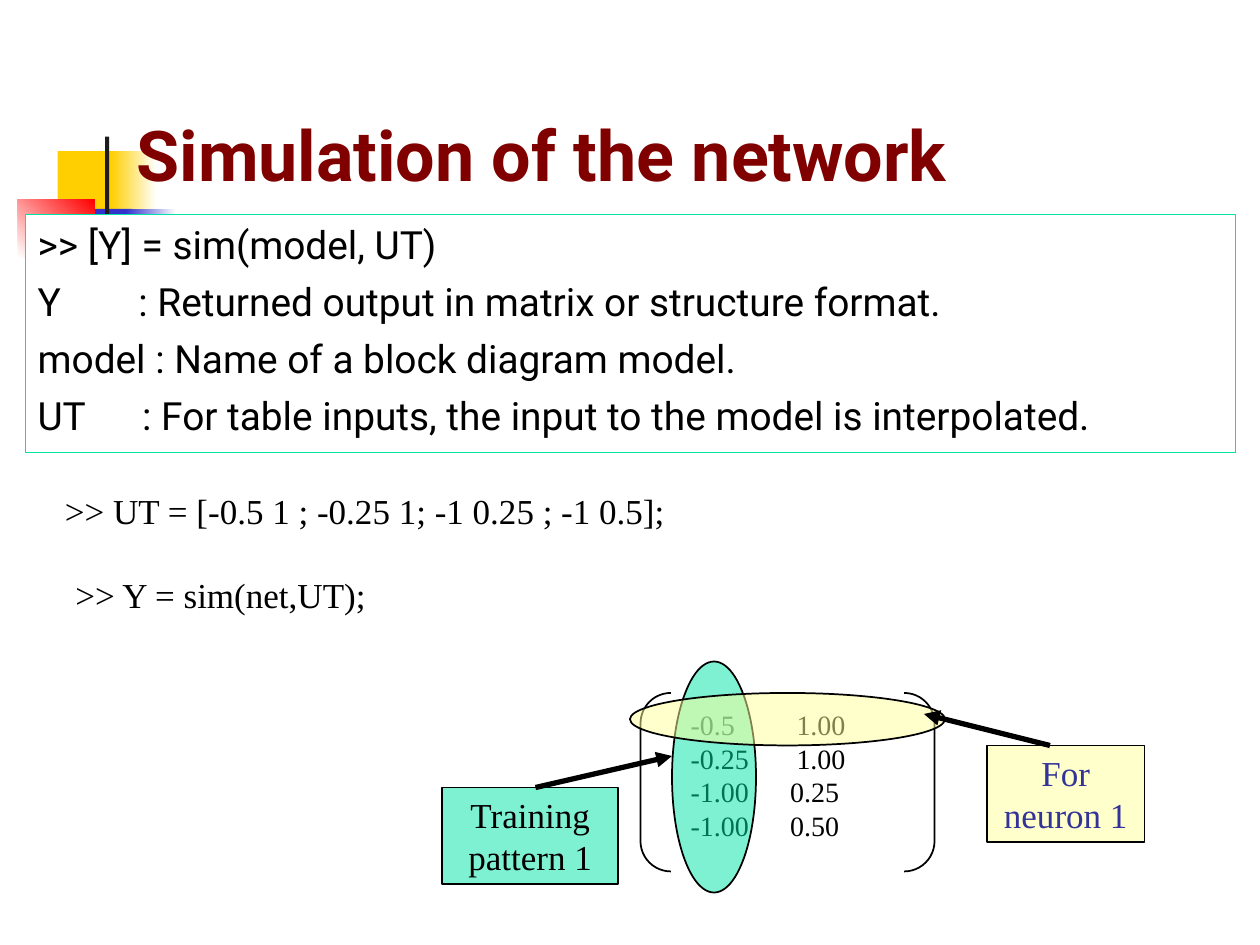
from dataclasses import dataclass, field

from pptx import Presentation
from pptx.dml.color import RGBColor
from pptx.enum.shapes import MSO_CONNECTOR, MSO_SHAPE
from pptx.enum.text import MSO_ANCHOR, MSO_AUTO_SIZE, PP_ALIGN
from pptx.oxml.ns import qn
from pptx.oxml.xmlchemy import OxmlElement
from pptx.util import Inches, Pt

RECT = MSO_SHAPE.RECTANGLE
OVAL = MSO_SHAPE.OVAL
PAIR = MSO_SHAPE.DOUBLE_BRACKET
LINE = MSO_CONNECTOR.STRAIGHT
BOTTOM = MSO_ANCHOR.BOTTOM
MIDDLE = MSO_ANCHOR.MIDDLE
TOP = MSO_ANCHOR.TOP
FIXED = MSO_AUTO_SIZE.NONE
LEFT = PP_ALIGN.LEFT
CENTER = PP_ALIGN.CENTER

SANS = "Roboto"
SERIF = "Times New Roman"
TITLE_ONLY = 5
CELL = 1 / 12

COLORS = {
    "black": "000000",
    "white": "FFFFFF",
    "gold": "FFCF01",
    "blue": "3333CC",
    "red": "FF0000",
    "ink": "1C1C1C",
    "maroon": "800000",
    "mint": "00E4A8",
    "cream": "FFFF99",
    "navy": "333399",
}


def color(name):
    """Look up a named colour."""
    return RGBColor.from_string(COLORS[name])


def grid(*cells):
    """Turn grid cells into lengths."""
    return [Inches(cell * CELL) for cell in cells]


def add_node(parent, tag, **values):
    """Append an XML child with attributes."""
    node = OxmlElement(tag)
    for key, value in values.items():
        node.set(key, str(value))
    parent.append(node)
    return node


@dataclass
class Deck:
    """Style and current slide, drawn on a grid of 120 columns by 90 rows."""

    slide: object
    font: str = SERIF
    size: float = 20
    ink: str = "black"
    edge: float = 1
    arrow: float = 3
    stops: dict = field(default_factory=dict)

    def fill_text(self, frame, lines, size=None, font=None, ink=None,
                  align=LEFT, gap=0, bold=False, anchor=TOP):
        """Fill a frame with styled lines; a line may carry a tab stop."""
        frame.word_wrap = True
        frame.auto_size = FIXED
        frame.vertical_anchor = anchor
        frame.text = "\n".join(lines)
        for para in frame.paragraphs:
            para.alignment = align
            para.space_before = Pt(gap)
            stop = self.stops.get(para.text)
            if stop:
                tabs = add_node(para._p.get_or_add_pPr(), "a:tabLst")
                add_node(tabs, "a:tab", pos=Inches(stop), algn="l")
            for run in para.runs:
                run.font.name = font or self.font
                run.font.size = Pt(size or self.size)
                run.font.bold = bold
                run.font.color.rgb = color(ink or self.ink)

    def title(self, text, box):
        """Place the title in front of what is already drawn."""
        head = self.slide.shapes.title
        head.left, head.top, head.width, head.height = grid(*box)
        self.fill_text(head.text_frame, [text], 40, SANS, "maroon",
                       bold=True, anchor=BOTTOM)
        head.element.getparent().append(head.element)

    def text(self, lines, box, **style):
        """Add a text box."""
        frame = self.slide.shapes.add_textbox(*grid(*box)).text_frame
        self.fill_text(frame, lines, **style)

    def shape(self, kind, box, fill=None, line=None, alpha=None, width=None):
        """Add a preset shape with plain, clear or no fill."""
        shape = self.slide.shapes.add_shape(kind, *grid(*box))
        shape.shadow.inherit = False
        if fill:
            shape.fill.solid()
            shape.fill.fore_color.rgb = color(fill)
        else:
            shape.fill.background()
        if alpha:
            solid = shape.element.spPr.find(qn("a:solidFill"))
            add_node(solid[0], "a:alpha", val=alpha * 1000)
        if line:
            shape.line.color.rgb = color(line)
            shape.line.width = Pt(width or self.edge)
        else:
            shape.line.fill.background()
        return shape

    def fade(self, box, start, end, angle=0):
        """Add a rectangle with a two-colour gradient."""
        shape = self.shape(RECT, box)
        shape.fill.gradient()
        shape.fill.gradient_angle = angle
        for stop, name in zip(shape.fill.gradient_stops, (start, end)):
            stop.color.rgb = color(name)

    def pointer(self, start, end):
        """Add a line with an arrowhead at its end."""
        link = self.slide.shapes.add_connector(LINE, *grid(*start, *end))
        link.line.color.rgb = color("black")
        link.line.width = Pt(self.arrow)
        add_node(link.element.spPr.find(qn("a:ln")), "a:tailEnd",
                 type="triangle")
        add_node(link.element.spPr, "a:effectLst")

    def callout(self, text, box, fill, ink, start, end):
        """Add a label box and the arrow that leaves it."""
        label = self.shape(RECT, box, fill, "black", 50)
        self.fill_text(label.text_frame, [text], ink=ink, align=CENTER,
                       anchor=MIDDLE)
        self.pointer(start, end)


def main():
    """Build the slide."""
    show = Presentation()
    show.slide_width, show.slide_height = grid(120, 90)
    deck = Deck(show.slides.add_slide(show.slide_layouts[TITLE_ONLY]))

    deck.shape(RECT, (5.5, 14.4, 5.8, 6.2), "gold")
    deck.fade((10.6, 14.4, 4.3, 6.2), "gold", "white")
    deck.shape(RECT, (7.1, 19.9, 5.5, 6.2), "blue")
    deck.fade((12, 19.9, 4.8, 6.2), "blue", "white")
    deck.fade((1.7, 19, 7.3, 5.5), "white", "red", 45)
    deck.shape(RECT, (10, 13, 0.4, 13.8), "ink")
    deck.title("Simulation of the network", (11.8, 0, 102.2, 19.2))

    terms = {
        ">> [Y] = sim(model, UT)": None,
        "Y\t: Returned output in matrix or structure format.": 0.8,
        "model : Name of a block diagram model.": None,
        "UT\t: For table inputs, the input to the model is interpolated.": 0.83,
    }
    rows = {
        "-0.5\t1.00": 0.84,
        "-0.25\t1.00": 0.84,
        "-1.00\t0.25": 0.79,
        "-1.00\t0.50": 0.79,
    }
    deck.stops = terms | rows
    panel = deck.shape(RECT, (2.4, 20.4, 115.3, 22.7), "white", "mint",
                       width=0.75)
    deck.fill_text(panel.text_frame, terms, 22.2, SANS, gap=6)

    deck.text([">> UT = [-0.5 1 ; -0.25 1; -1 0.25 ; -1 0.5];"],
              (5, 46, 61, 5.3))
    deck.text(rows, (64.6, 66.8, 29, 17.3), size=16)
    pair = deck.shape(PAIR, (61, 66, 28, 17), line="black")
    pair.adjustments[0] = 0.17
    deck.shape(OVAL, (64, 63, 8, 22), "mint", "black", 50)
    deck.shape(OVAL, (60, 66, 30, 5), "cream", "black", 50)
    deck.callout("Training pattern 1", (42.1, 75, 16.8, 9.2), "mint", "black",
                 (51, 75), (64, 72))
    deck.callout("For neuron 1", (94, 71, 15, 9.2), "cream", "navy",
                 (100, 71), (88, 68))
    deck.text([">> Y = sim(net,UT);"], (6, 54, 61, 5.3))
    show.save("out.pptx")


if __name__ == "__main__":
    main()
